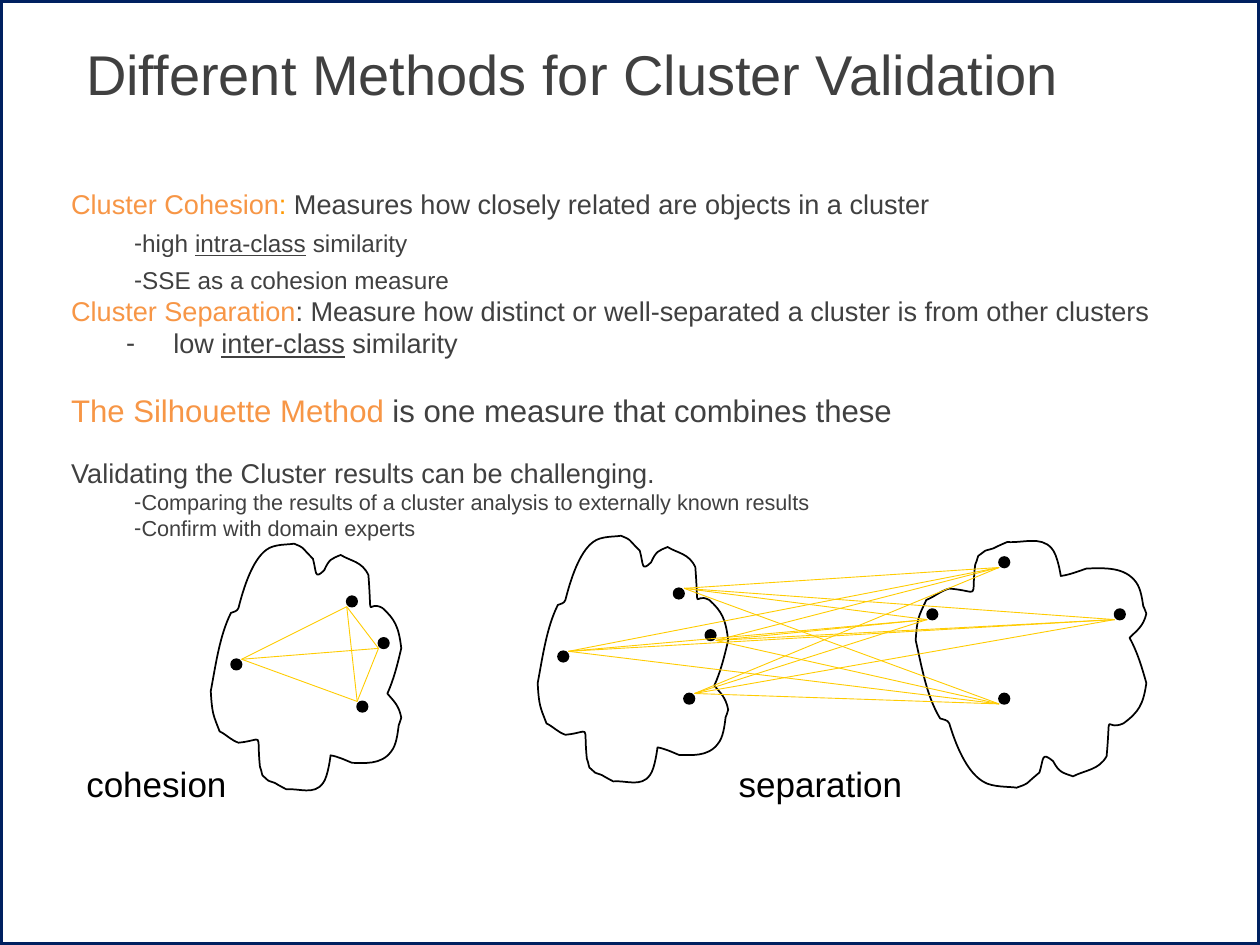
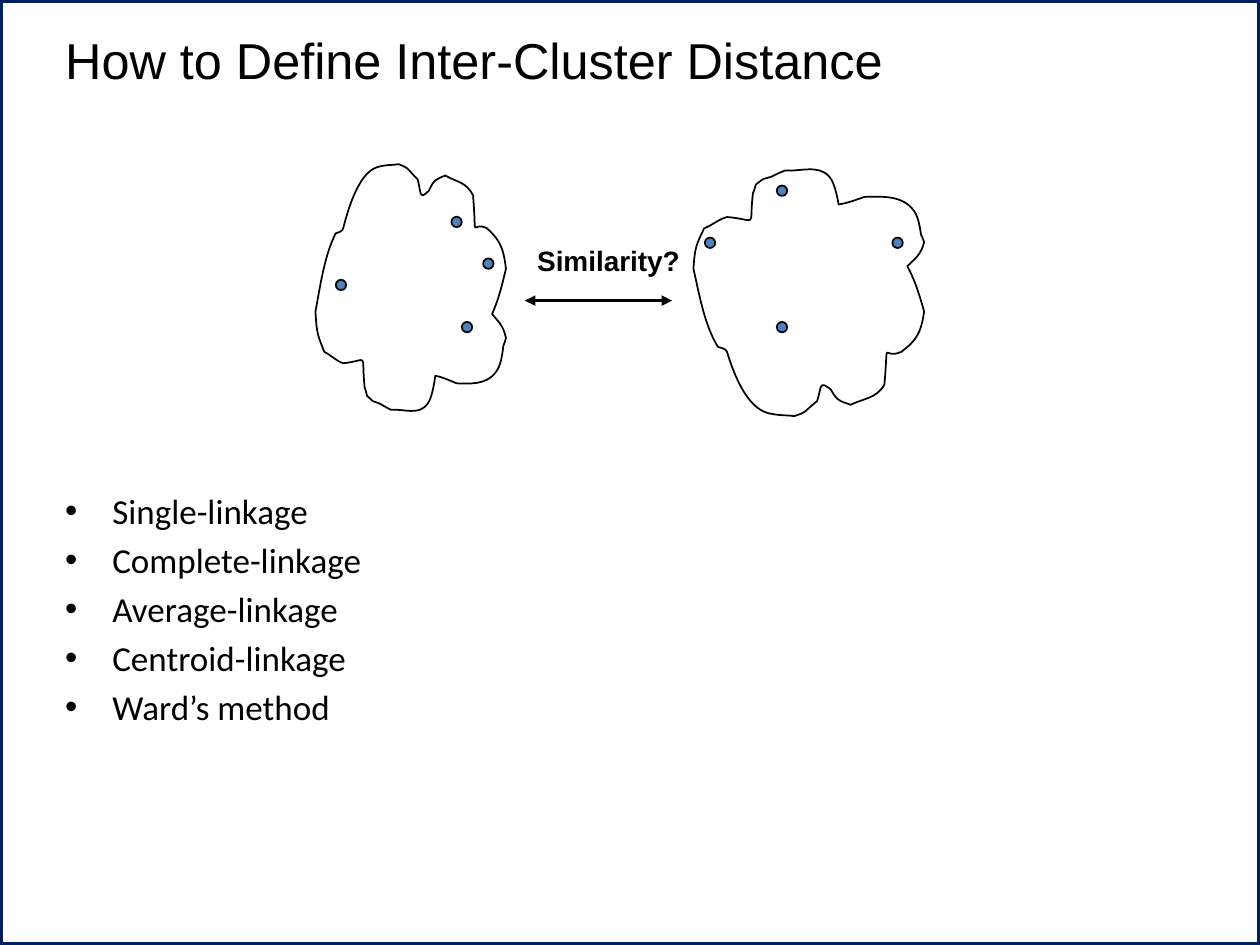
import itertools
from dataclasses import dataclass
from typing import Any, NamedTuple

import pptx
import pptx.util
from lxml import etree
from pptx.dml.color import RGBColor
from pptx.enum.shapes import MSO_CONNECTOR, MSO_SHAPE
from pptx.enum.text import MSO_ANCHOR, MSO_AUTO_SIZE, PP_ALIGN
from pptx.oxml.ns import qn

Cm = pptx.util.Cm
Pt = pptx.util.Pt

COLORS = {
    "frame": "002060", "ink": "000000", "grey": "404040", "orange": "F79646",
    "amber": "FF9900", "link": "FFCC00", "blue": "4F81BD",
}
FRAME_FORMAT = {"word_wrap": True, "auto_size": MSO_AUTO_SIZE.NONE}
TITLE_FORMAT = {**FRAME_FORMAT, "vertical_anchor": MSO_ANCHOR.MIDDLE}
BODY_FORMAT = {**FRAME_FORMAT, "vertical_anchor": MSO_ANCHOR.TOP}
DOT_SIZE = 0.21

# Cluster outline on a 151 x 200 grid: a start point, then cubic curves
GRID_WIDTH, GRID_HEIGHT = 151, 200
OUTLINE = [
    (16, 55),
    (7, 73), (4, 96), (0, 117), (1, 135), (2, 136), (7, 149),
    (13, 152), (16, 156), (22, 158), (43, 156), (36, 148), (39, 177),
    (40, 179), (40, 181), (41, 184), (48, 190), (43, 187), (51, 190),
    (54, 192), (60, 195), (60, 195), (70, 194), (82, 200), (89, 190),
    (93, 185), (95, 168), (95, 168), (101, 169), (107, 172), (112, 174),
    (121, 174), (135, 176), (143, 165), (147, 160), (148, 152), (149, 144),
    (150, 142), (151, 138), (151, 138), (149, 128), (145, 125), (140, 119),
    (145, 108), (148, 96), (151, 83), (149, 66), (146, 60), (136, 51),
    (123, 44), (128, 65), (125, 25), (120, 14), (111, 14), (103, 9),
    (96, 12), (94, 12), (90, 21), (82, 29), (84, 23), (81, 12),
    (70, 1), (75, 4), (66, 0), (62, 1), (50, 0), (44, 5),
    (33, 13), (26, 35), (22, 51), (21, 54), (18, 54), (16, 55),
]


class Point(NamedTuple):
    x: float
    y: float


class Box(NamedTuple):
    left: float
    top: float
    width: float
    height: float


class Span(NamedTuple):
    text: str
    color: str = "grey"
    underline: bool = False


@dataclass
class Para:
    spans: list[Span]
    size: float
    font: str = "Arial"
    bold: bool = False
    before: float = 0
    after: float = 0
    spacing: float = 1.0
    bullet: str = ""
    margin: float = 0
    hanging: float = 0


@dataclass
class ClusterKind:
    width: float
    flipped: bool
    dots: list[Point]
    height: float = 5.08


NARROW = ClusterKind(3.84, False, [Point(2.95, 3.18), Point(2.74, 1.06),
                                   Point(0.41, 2.33), Point(3.38, 1.9)])
WIDE = ClusterKind(4.65, True, [Point(4.01, 1.48), Point(0.23, 1.48),
                                Point(1.68, 3.18), Point(1.68, 0.43)])


@dataclass
class Cluster:
    kind: ClusterKind
    left: float
    top: float
    dot_color: str

    def corners(self, sides: list[tuple[int, int]]) -> list[Point]:
        """Corner of each dot's box: 0 is left or top, 1 is right or bottom."""
        return [Point(self.left + dot.x + right * DOT_SIZE, self.top + dot.y + low * DOT_SIZE)
                for dot, (right, low) in zip(self.kind.dots, sides)]


def rgb(name: str) -> RGBColor:
    return RGBColor.from_string(COLORS[name])


def set_format(target: Any, values: dict[str, Any]) -> None:
    for name, value in values.items():
        setattr(target, name, value)


def place(shape: Any, box: Box) -> None:
    set_format(shape, {name: Cm(value) for name, value in box._asdict().items()})


def set_line(shape: Any, color: str, width: float) -> None:
    shape.line.color.rgb = rgb(color)
    shape.line.width = Pt(width)


def set_bullet(paragraph: Any, para: Para) -> None:
    properties = paragraph._p.get_or_add_pPr()
    properties.set("marL", str(Cm(para.margin)))
    properties.set("indent", str(-Cm(para.hanging)))
    if para.bullet:
        etree.SubElement(properties, qn("a:buFont"), typeface="Arial")
        etree.SubElement(properties, qn("a:buChar"), char=para.bullet)
    else:
        etree.SubElement(properties, qn("a:buNone"))


def write(shape: Any, box: Box, paras: list[Para], frame_format: dict[str, Any]) -> None:
    place(shape, box)
    frame = shape.text_frame
    set_format(frame, frame_format)
    for index, para in enumerate(paras):
        paragraph = frame.add_paragraph() if index else frame.paragraphs[0]
        set_format(paragraph, {
            "alignment": PP_ALIGN.LEFT, "line_spacing": para.spacing,
            "space_before": Pt(para.before), "space_after": Pt(para.after)})
        set_bullet(paragraph, para)
        for span in para.spans:
            run = paragraph.add_run()
            run.text = span.text
            set_format(run.font, {"name": para.font, "size": Pt(para.size),
                                  "bold": para.bold, "underline": span.underline})
            run.font.color.rgb = rgb(span.color)


def add_label(page: Any, box: Box, text: str, size: float, bold: bool = False) -> None:
    label = page.shapes.add_textbox(0, 0, 0, 0)
    write(label, box, [Para([Span(text, "ink")], size, bold=bold)],
          {**BODY_FORMAT, "word_wrap": False})


def add_page(deck: Any, title: str, box: Box, size: float, color: str) -> Any:
    """Title-and-content page with the shared frame."""
    page = deck.slides.add_slide(deck.slide_layouts[1])
    frame = page.shapes.add_shape(MSO_SHAPE.RECTANGLE, 0, 0, deck.slide_width, deck.slide_height)
    frame.shadow.inherit = False
    frame.fill.background()
    set_line(frame, "frame", 3.5)
    write(page.shapes.title, box, [Para([Span(title, color)], size)], TITLE_FORMAT)
    return page


def add_line(page: Any, start: Point, end: Point, color: str, width: float,
             arrows: bool = False) -> None:
    ends = [Cm(value) for value in (*start, *end)]
    line = page.shapes.add_connector(MSO_CONNECTOR.STRAIGHT, *ends)
    set_line(line, color, width)
    properties = line._element.spPr
    etree.SubElement(properties, qn("a:effectLst"))
    if arrows:
        for tag in ("a:headEnd", "a:tailEnd"):
            etree.SubElement(properties.find(qn("a:ln")), qn(tag), type="triangle")


def curve_segments(shape: Any) -> None:
    """Turn each three straight segments into one cubic curve."""
    segments = list(shape._element.iter(qn("a:lnTo")))
    for first, second, third in zip(*[iter(segments)] * 3):
        curve = etree.Element(qn("a:cubicBezTo"))
        first.addprevious(curve)
        for segment in (first, second, third):
            curve.append(segment[0])
            segment.getparent().remove(segment)


def add_cluster(page: Any, cluster: Cluster) -> None:
    kind = cluster.kind
    points = []
    for x, y in OUTLINE:
        row = GRID_HEIGHT - y if kind.flipped else y
        points.append((Cm(cluster.left + x * kind.width / GRID_WIDTH),
                       Cm(cluster.top + row * kind.height / GRID_HEIGHT)))
    builder = page.shapes.build_freeform(*points[0])
    builder.add_line_segments(points[1:], close=True)
    outline = builder.convert_to_shape()
    curve_segments(outline)
    outline.shadow.inherit = False
    outline.fill.background()
    set_line(outline, "ink", 1)
    for spot in cluster.corners([(0, 0)] * len(kind.dots)):
        dot = page.shapes.add_shape(MSO_SHAPE.OVAL, 0, 0, 0, 0)
        place(dot, Box(*spot, DOT_SIZE, DOT_SIZE))
        dot.shadow.inherit = False
        dot.fill.solid()
        dot.fill.fore_color.rgb = rgb(cluster.dot_color)
        set_line(dot, "ink", 1)


def build_validation(deck: Any) -> None:
    page = add_page(deck, "Different Methods for Cluster Validation",
                    Box(1.48, 0.62, 21.39, 1.7), 32, "grey")
    # Methods
    dash = {"bullet": "-", "margin": 1.42, "hanging": 0.15}
    detail = {**dash, "size": 13.9, "before": 2.8, "spacing": 1.1}
    paras = [
        Para([Span("Cluster Cohesion", "orange"), Span(":", "amber"),
              Span(" Measures how closely related are objects in a cluster")], 15.5, before=1),
        Para([Span("high "), Span("intra-class", underline=True), Span(" similarity")], **detail),
        Para([Span("SSE as a cohesion measure")], **detail),
        Para([Span("Cluster Separation", "orange"),
              Span(": Measure how distinct or well-separated a cluster is from other clusters")],
             15.5),
        Para([Span("low "), Span("inter-class", underline=True), Span(" similarity")], 15.5,
             bullet="-", margin=2.06, hanging=0.95),
        Para([Span("The Silhouette Method", "orange"),
              Span(" is one measure that combines these")], 17.8, before=18.5),
        Para([Span("Validating the Cluster results can be challenging.")], 15.5, before=15.5),
        Para([Span("Comparing the results of a cluster analysis to externally known results")],
             12.4, **dash),
        Para([Span("Confirm with domain experts")], 12.4, **dash),
    ]
    write(page.placeholders[1], Box(1.18, 3.66, 23.5, 6.63), paras, BODY_FORMAT)

    # Separation: every dot of one cluster linked to every dot of the other
    near = Cluster(NARROW, 10.84, 10.8, "ink")
    far = Cluster(WIDE, 18.46, 10.8, "ink")
    cohesive = Cluster(NARROW, 4.25, 10.96, "ink")
    for cluster in (near, far, cohesive):
        add_cluster(page, cluster)
    between = itertools.product(near.corners([(1, 0), (1, 0), (1, 0), (1, 1)]),
                                far.corners([(0, 1)] * 4))
    # Cohesion: the dots of one cluster linked in pairs
    within = itertools.combinations(cohesive.corners([(0, 0), (0, 1), (1, 0), (0, 1)]), 2)
    for start, end in itertools.chain(between, within):
        add_line(page, start, end, "link", 0.5)
    add_label(page, Box(1.49, 15.24, 3.33, 1.09), "cohesion", 20)
    add_label(page, Box(14.64, 15.24, 3.81, 1.09), "separation", 20)


def build_distance(deck: Any) -> None:
    page = add_page(deck, "How to Define Inter-Cluster Distance",
                    Box(1.06, 0.43, 23.01, 1.52), 28.8, "ink")
    # Two clusters and the question between them
    add_line(page, Point(10.58, 6.06), Point(13.55, 6.06), "ink", 2, arrows=True)
    add_label(page, Box(10.58, 4.79, 4.01, 0.94), "Similarity?", 16, bold=True)
    for kind, left in ((NARROW, 6.36), (WIDE, 13.98)):
        add_cluster(page, Cluster(kind, left, 3.31, "blue"))
    # Linkage methods
    methods = ["Single-linkage", "Complete-linkage", "Average-linkage",
               "Centroid-linkage", "Ward’s method"]
    paras = [Para([Span(method, "ink")], 20, "Calibri", before=2, after=2,
                  bullet="•", margin=0.95, hanging=0.95) for method in methods]
    write(page.placeholders[1], Box(1.06, 9.74, 16.08, 8.69), paras, BODY_FORMAT)


def main() -> None:
    deck = pptx.Presentation()
    deck.slide_width, deck.slide_height = Cm(25.4), Cm(19.05)
    build_validation(deck)
    build_distance(deck)
    deck.save("out.pptx")


if __name__ == "__main__":
    main()
